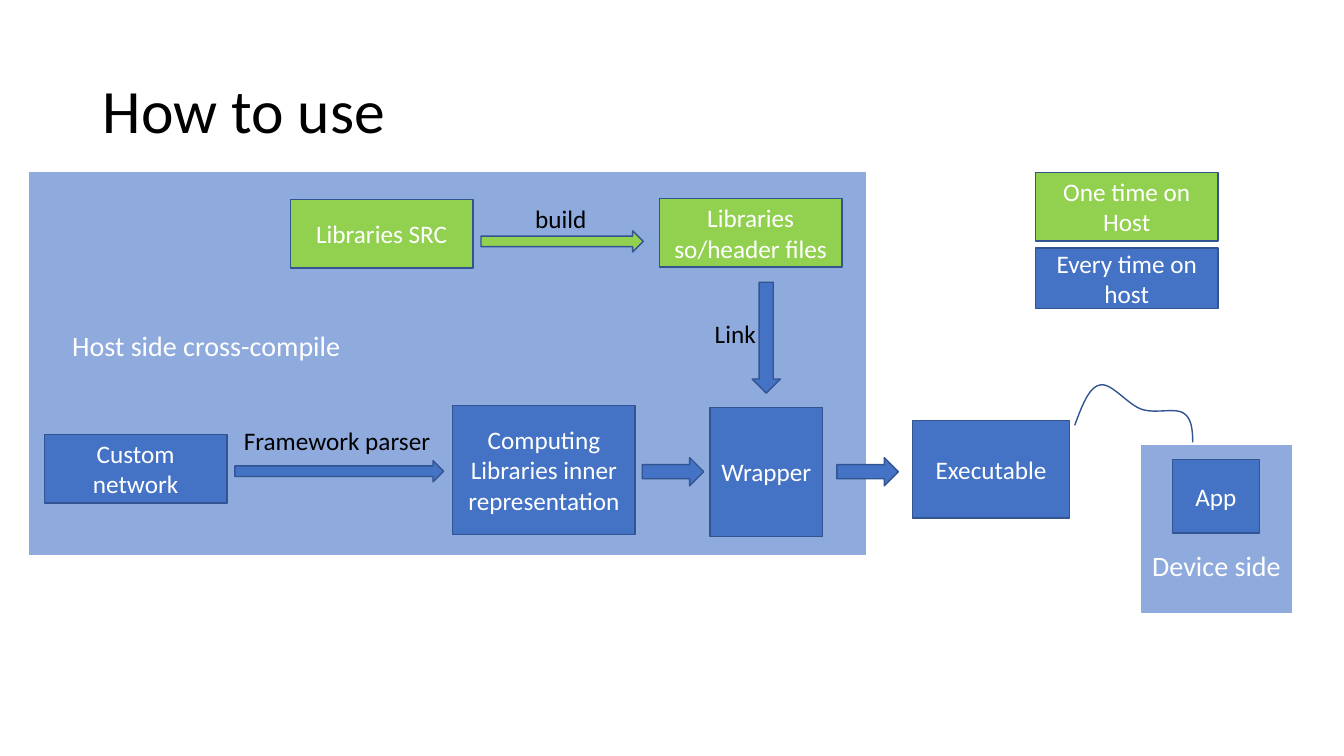
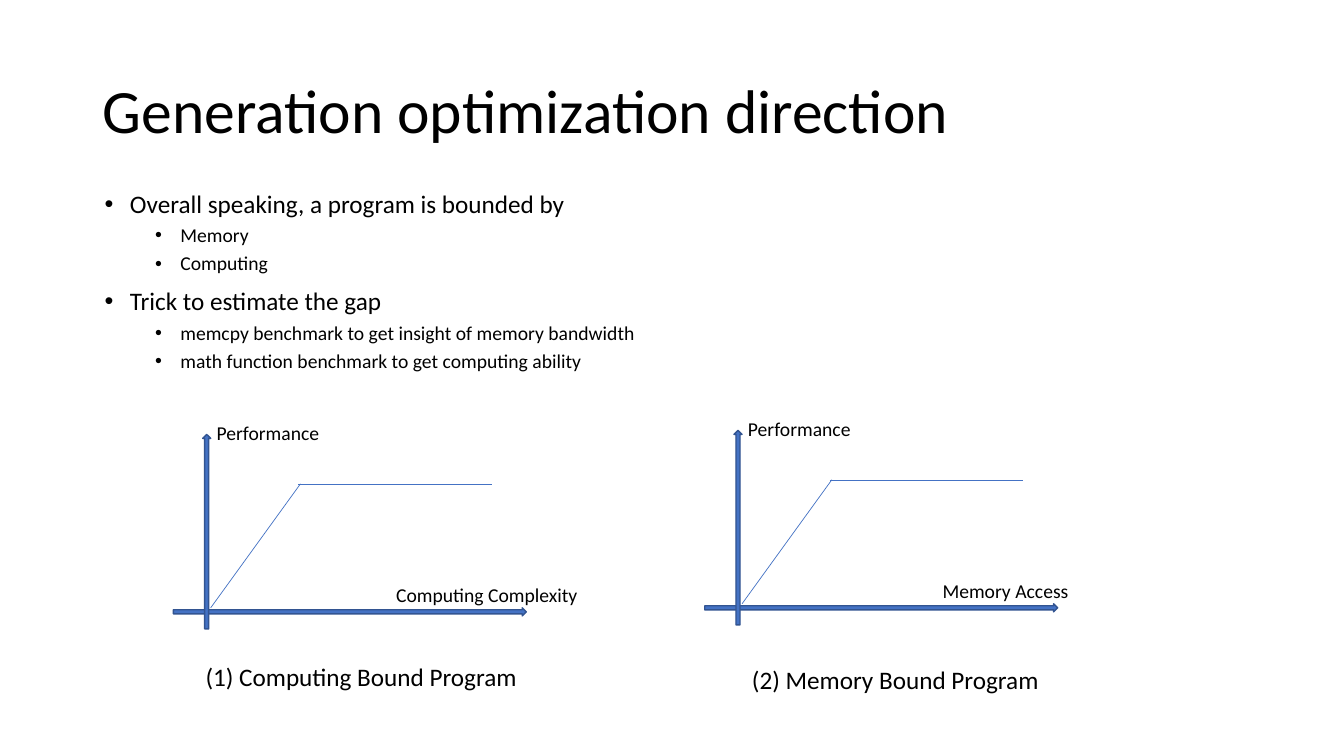
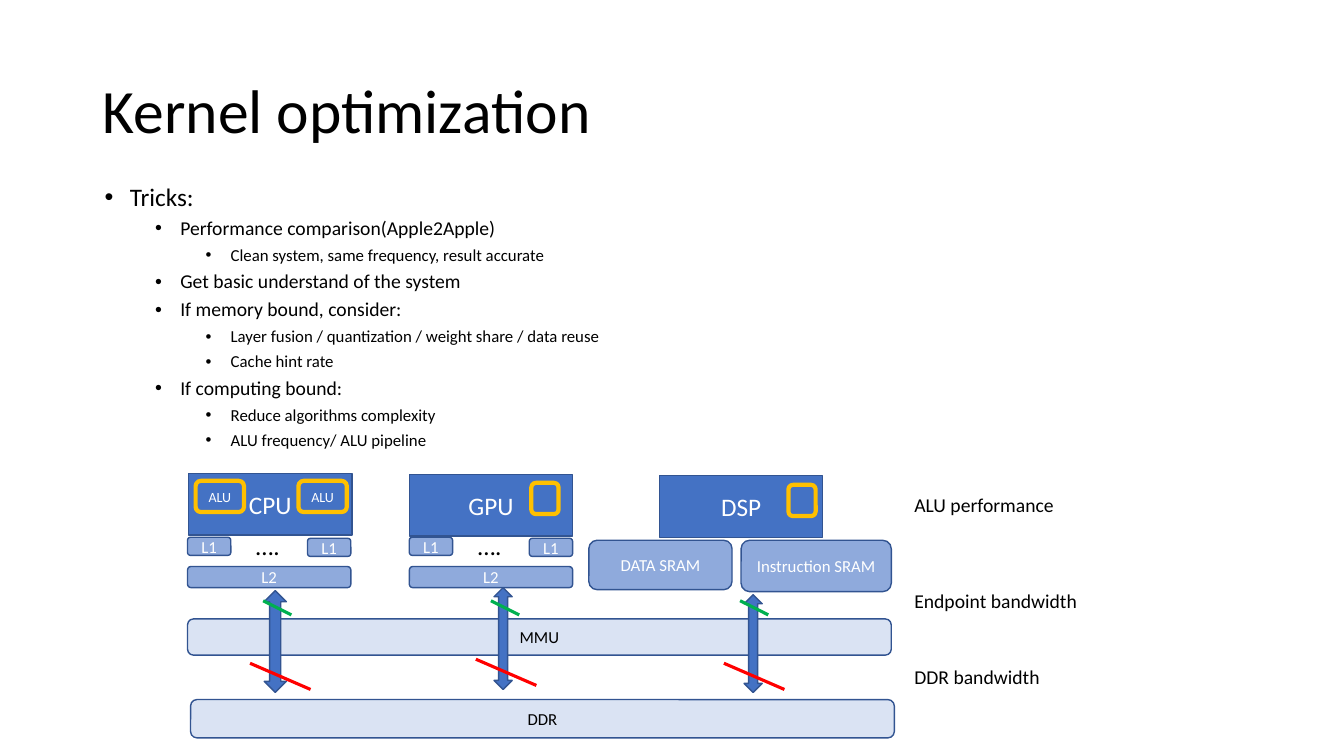
import pptx
import pptx.dml.color
import pptx.enum.shapes
import pptx.enum.text
import pptx.oxml.xmlchemy
import pptx.util
from lxml import etree

PX = 9144
FONT = "Calibri"
BLACK, WHITE = "000000", "FFFFFF"
BLUE, SOFT, PALE, OUTLINE = "4472C4", "8FAADC", "DAE3F3", "325491"
LIME, GREEN, RED, AMBER = "92D050", "00B050", "FF0000", "FFC000"
SHAPES = pptx.enum.shapes.MSO_SHAPE
RECT, ROUND = SHAPES.RECTANGLE, SHAPES.ROUNDED_RECTANGLE
LEFT, CENTER = pptx.enum.text.PP_ALIGN.LEFT, pptx.enum.text.PP_ALIGN.CENTER
MIDDLE = pptx.enum.text.MSO_ANCHOR.MIDDLE
DRAWING = "{http://schemas.openxmlformats.org/drawingml/2006/main}"
rgb = pptx.dml.color.RGBColor.from_string


def write(paragraph, text, size=18, color=BLACK, align=LEFT, spacing=None, before=0):
    paragraph.alignment = align
    paragraph.line_spacing = spacing
    paragraph.space_before = pptx.util.Pt(before)
    run = paragraph.add_run()
    run.text = text
    run.font.name = FONT
    run.font.size = pptx.util.Pt(size)
    run.font.color.rgb = rgb(color)


def draw(slide, kind, box, text="", fill=BLUE, line=OUTLINE, weight=1, wrap=True, **text_format):
    left, top, width, height = [value * PX for value in box]
    if kind == "line":
        straight = pptx.enum.shapes.MSO_CONNECTOR.STRAIGHT
        shape = slide.shapes.add_connector(straight, left, top, left + width, top + height)
        etree.SubElement(shape._element.spPr, DRAWING + "effectLst")
    elif kind == "text":
        shape = slide.shapes.add_textbox(left, top, width, height)
    else:
        shape = slide.shapes.add_shape(kind, left, top, width, height)
        shape.shadow.inherit = False
        shape.fill.solid()
        shape.fill.fore_color.rgb = rgb(fill)
        shape.text_frame.vertical_anchor = MIDDLE
        text_format = {"color": WHITE, "align": CENTER, **text_format}
    if kind != "text":
        shape.line.color.rgb = rgb(line)
        shape.line.width = pptx.util.Pt(weight)
    if kind != "line":
        shape.text_frame.word_wrap = wrap
    if text:
        write(shape.text_frame.paragraphs[0], text, **text_format)
    return shape


presentation = pptx.Presentation()
presentation.slide_width = 1333 * PX
presentation.slide_height = 750 * PX

slides = []
for heading in ["How to use", "Generation optimization direction", "Kernel optimization"]:
    slide = presentation.slides.add_slide(presentation.slide_layouts[5])
    title = slide.shapes.title
    title.left, title.top, title.width, title.height = 92 * PX, 40 * PX, 1150 * PX, 145 * PX
    title.text_frame.vertical_anchor = MIDDLE
    write(title.text_frame.paragraphs[0], heading, size=44, spacing=0.9)
    slides.append(slide)
usage, direction, kernel = slides

bullet_lists = [
    (direction, (94, 185, 671, 228), [
        (0, "Overall speaking, a program is bounded by"),
        (1, "Memory"),
        (1, "Computing"),
        (0, "Trick to estimate the gap"),
        (1, "memcpy benchmark to get insight of memory bandwidth"),
        (1, "math function benchmark to get computing ability"),
    ]),
    (kernel, (94, 178, 564, 403), [
        (0, "Tricks:"),
        (1, "Performance comparison(Apple2Apple)"),
        (2, "Clean system, same frequency, result accurate"),
        (1, "Get basic understand of the system"),
        (1, "If memory bound, consider:"),
        (2, "Layer fusion / quantization / weight share / data reuse"),
        (2, "Cache hint rate"),
        (1, "If computing bound:"),
        (2, "Reduce algorithms complexity"),
        (2, "ALU frequency/ ALU pipeline"),
    ]),
]
for slide, box, items in bullet_lists:
    frame = draw(slide, "text", box).text_frame
    for index, (level, text) in enumerate(items):
        paragraph = frame.add_paragraph() if index else frame.paragraphs[0]
        paragraph.level = level
        write(paragraph, text, size=(18, 14, 12)[level], spacing=0.9, before=(10, 5, 5)[level])
        properties = paragraph._p.get_or_add_pPr()
        properties.set("marL", str((25 + 50 * level) * PX))
        properties.set("indent", str(-25 * PX))
        etree.SubElement(properties, DRAWING + "buFont", typeface="Arial")
        etree.SubElement(properties, DRAWING + "buChar", char="•")

for box in [(1132, 442, 149, 165), (29, 171, 829, 379)]:
    draw(usage, RECT, box, fill=SOFT, line=SOFT)
for box, text, fill in [
    ((288, 198, 181, 68), "Libraries SRC", LIME),
    ((654, 197, 181, 68), "Libraries so/header files", LIME),
    ((44, 431, 181, 68), "Custom network", BLUE),
    ((449, 402, 181, 128), "Computing Libraries inner representation", BLUE),
    ((704, 404, 112, 128), "Wrapper", BLUE),
    ((905, 417, 156, 97), "Executable", BLUE),
    ((1163, 456, 86, 73), "App", BLUE),
    ((1027, 171, 181, 68), "One time on Host", LIME),
    ((1027, 246, 181, 60), "Every time on host", BLUE),
]:
    draw(usage, RECT, box, text, fill=fill)
for kind, box, fill in [
    (SHAPES.RIGHT_ARROW, (233, 457, 207, 21), BLUE),
    (SHAPES.RIGHT_ARROW, (477, 229, 161, 21), LIME),
    (SHAPES.DOWN_ARROW, (746, 280, 28, 110), BLUE),
    (SHAPES.RIGHT_ARROW, (637, 454, 61, 28), BLUE),
    (SHAPES.RIGHT_ARROW, (830, 454, 61, 28), BLUE),
]:
    draw(usage, kind, box, fill=fill)
for box, text in [
    ((521, 197, 72, 40), "build"),
    ((232, 417, 207, 40), "Framework parser"),
    ((699, 311, 61, 40), "Link"),
]:
    draw(usage, "text", box, text, wrap=False)
for box, text in [
    ((60, 321, 289, 44), "Host side cross-compile"),
    ((1132, 539, 149, 44), "Device side"),
]:
    draw(usage, "text", box, text, wrap=False, size=20, color=WHITE, align=CENTER)

cable_start = (1066, 422)
cable_curves = [
    ((1073, 403), (1080, 384), (1091, 382)),
    ((1102, 379), (1118, 401), (1132, 406)),
    ((1146, 411), (1165, 404), (1174, 410)),
    ((1182, 415), (1183, 427), (1183, 439)),
]
cable_points = []
start = cable_start
for first, second, end in cable_curves:
    for step in range(1, 13):
        t = step / 12
        weights = ((1 - t) ** 3, 3 * t * (1 - t) ** 2, 3 * t * t * (1 - t), t ** 3)
        controls = (start, first, second, end)
        cable_points.append([
            sum(weight * point[axis] for weight, point in zip(weights, controls)) * PX
            for axis in (0, 1)
        ])
    start = end
builder = usage.shapes.build_freeform(cable_start[0] * PX, cable_start[1] * PX)
builder.add_line_segments(cable_points, close=False)
cable = builder.convert_to_shape()
cable.shadow.inherit = False
cable.fill.background()
cable.line.color.rgb = rgb(OUTLINE)
cable.line.width = pptx.util.Pt(1)

for left, top, label, label_left, caption, caption_box in [
    (172, 413, "Computing Complexity", 383, "(1) Computing Bound Program", (194, 651, 333, 40)),
    (699, 409, "Memory Access", 925, "(2) Memory Bound Program", (736, 654, 308, 40)),
]:
    draw(direction, SHAPES.RIGHT_ARROW, (left, top + 190, 350, 8))
    draw(direction, SHAPES.UP_ARROW, (left + 29, top + 18, 8, 193))
    draw(direction, "line", (left + 37, top + 190, 89, -123), line=BLUE, weight=0.5)
    draw(direction, "line", (left + 124, top + 68, 192, 0), line=BLUE, weight=0.5)
    draw(direction, "text", (left + 33, top, 152, 34), "Performance", size=14)
    draw(direction, "text", (label_left, top + 160, 293, 34), label, size=14)
    draw(direction, "text", caption_box, caption, wrap=False)

for box, text in [((186, 614, 698, 36), "MMU"), ((189, 694, 698, 38), "DDR")]:
    draw(kernel, ROUND, box, text, fill=PALE, size=12, color=BLACK)
for box, text in [
    ((187, 470, 162, 61), "CPU"),
    ((406, 471, 162, 61), "GPU"),
    ((654, 472, 162, 61), "DSP"),
]:
    draw(kernel, RECT, box, text)
for left in (186, 406):
    for box, text in [
        ((left, 533, 43, 18), "L1"),
        ((left + 119, 534, 43, 18), "L1"),
        ((left, 562, 162, 21), "L2"),
    ]:
        draw(kernel, ROUND, box, text, fill=SOFT, size=12)
    draw(kernel, "text", (left + 58, 521, 45, 38), "….", wrap=False)
for box, text in [((584, 536, 142, 49), "DATA SRAM"), ((735, 536, 149, 51), "Instruction SRAM")]:
    draw(kernel, ROUND, box, text, fill=SOFT, size=12)
for arrow, red_left, red_top, green_left in [
    ((262, 586, 22, 101), 248, 658, 261),
    ((490, 583, 18, 101), 472, 654, 487),
    ((738, 590, 18, 97), 718, 658, 734),
]:
    draw(kernel, SHAPES.UP_DOWN_ARROW, arrow)
    draw(kernel, "line", (red_left, red_top, 60, 26), line=RED, weight=2.25)
    draw(kernel, "line", (green_left, 596, 28, 14), line=GREEN, weight=2.25)
for box, text in [
    ((897, 484, 160, 34), "ALU performance"),
    ((897, 579, 183, 34), "Endpoint bandwidth"),
    ((897, 655, 146, 34), "DDR bandwidth"),
]:
    draw(kernel, "text", box, text, wrap=False, size=14)
for box, text in [
    ((194, 477, 48, 31), "ALU"),
    ((296, 477, 48, 31), "ALU"),
    ((527, 479, 27, 31), ""),
    ((782, 481, 27, 31), ""),
]:
    draw(kernel, ROUND, box, text, line=AMBER, weight=3, size=10)

presentation.save("out.pptx")
